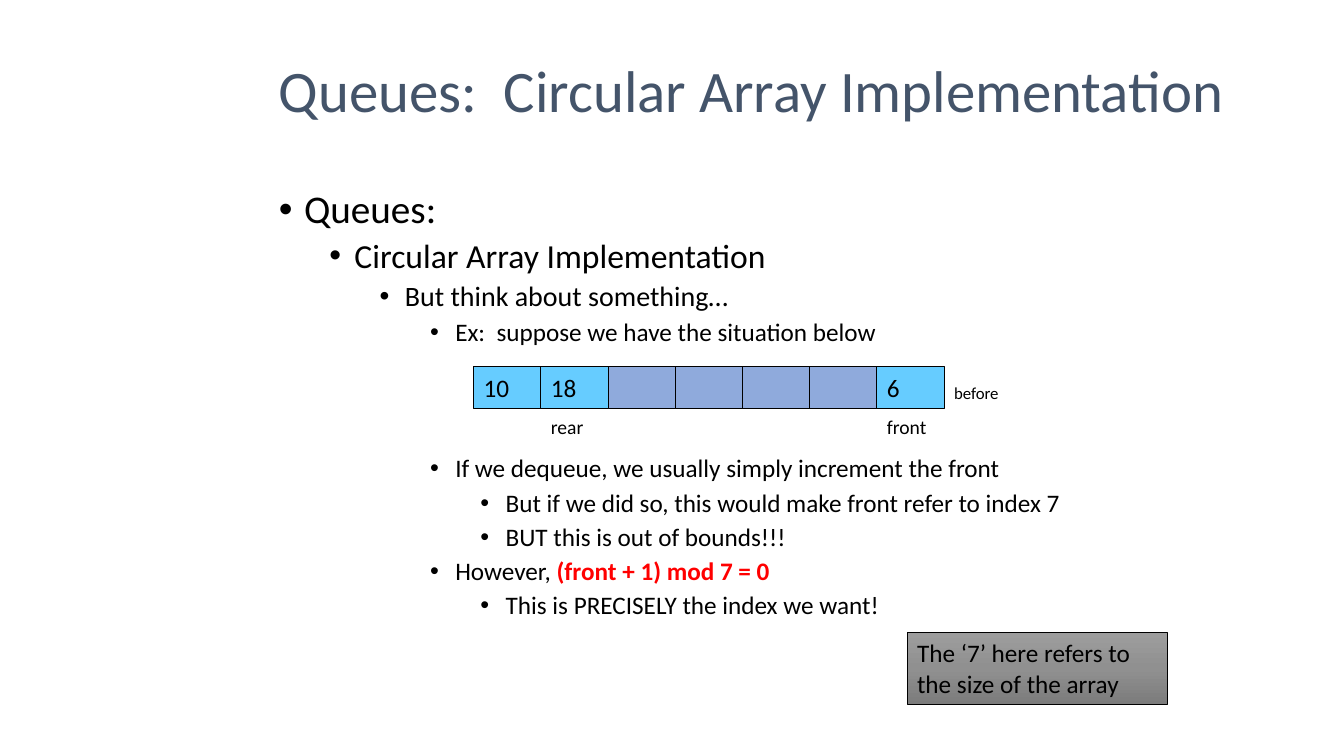
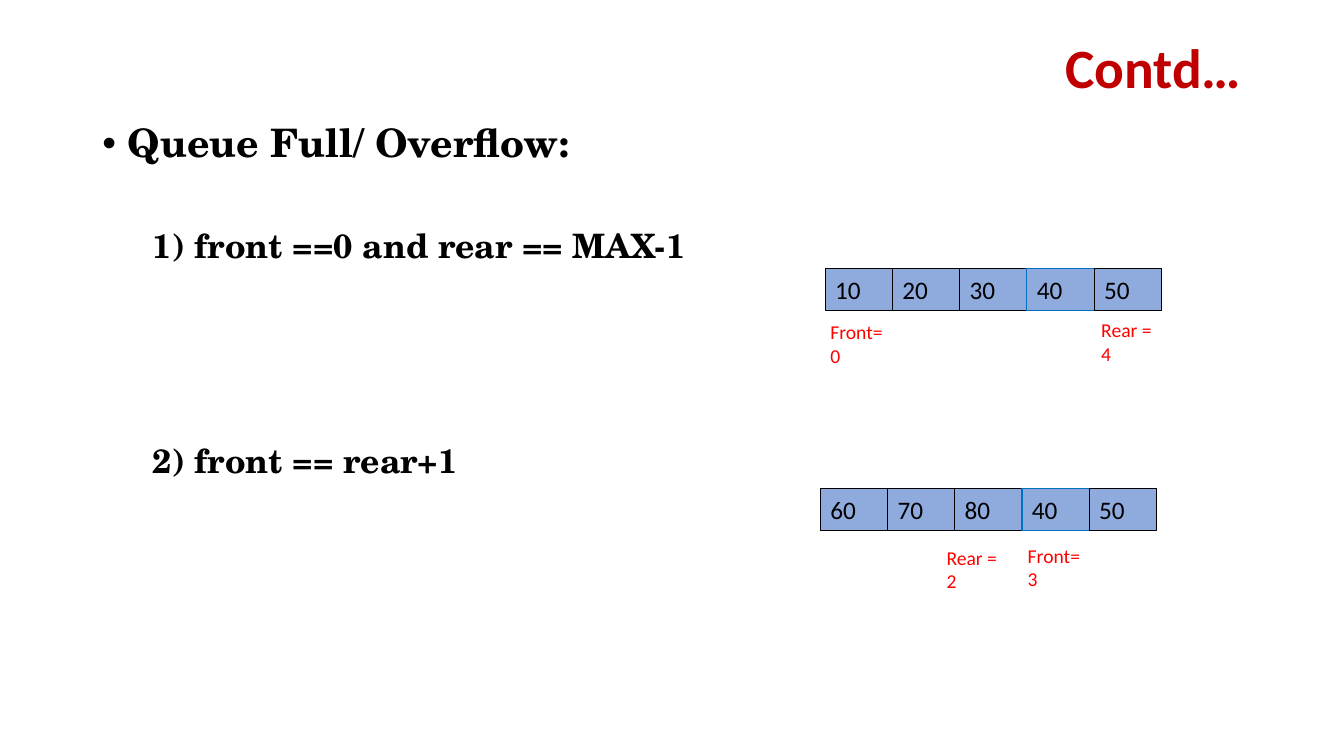
from copy import deepcopy

from lxml.etree import SubElement
from pptx import Presentation
from pptx.dml.color import RGBColor
from pptx.enum.shapes import MSO_SHAPE
from pptx.enum.text import MSO_ANCHOR, MSO_AUTO_SIZE, PP_ALIGN
from pptx.oxml.ns import qn
from pptx.util import Pt

# Shared style
COLORS = {
    "black": "000000", "red": "FF0000", "crimson": "C00000", "slate": "44546A",
    "used": "66CCFF", "cell": "8FAADC", "edge": "0070C0",
    "grey_top": "9D9D9D", "grey_mid": "909090", "grey_end": "7C7C7C",
}
SANS, SERIF = "Calibri", "TeX Gyre Schola"
LEVEL_SIZES = [28, 24, 20, 18, 18]
CELL_W, CELL_H = 48, 30
INDENT, HANG = 36, 18

# Content: list lines are (level, bulleted, space before, runs); a run is (text, format)
SLIDES = [
    {
        "title": ("Queues:  Circular Array Implementation", (192, 21.6, 704, 90),
                  dict(size=42, color="slate")),
        "body_at": (192, 132, 648, 378),
        "body_format": dict(),
        "lines": [
            (0, True, 10, [("Queues:", {})]),
            (1, True, 5, [("Circular Array Implementation", {})]),
            (2, True, 5, [("But think about something…", {})]),
            (3, True, 5, [("Ex:  suppose we have the situation below", {})]),
            (3, True, 78, [("If we dequeue, we usually simply increment the front", {})]),
            (4, True, 5, [("But if we did so, this would make front refer to index 7", {})]),
            (4, True, 5, [("BUT this is out of bounds!!!", {})]),
            (3, True, 5, [("However, ", {}),
                          ("(front + 1) mod 7 = 0", dict(color="red", bold=True))]),
            (4, True, 5, [("This is PRECISELY the index we want!", {})]),
        ],
        # labels are (text, offset from the row's corner, format)
        "arrays": [
            {"at": (338.4, 262), "values": ["10", "18", "", "", "", "", "6"],
             "fills": {0: "used", 1: "used", 6: "used"}, "edges": {},
             "labels": [("front", (6 * CELL_W, 24.5), dict(size=14)),
                        ("rear", (CELL_W, 24.5), dict(size=14)),
                        ("before", (7 * CELL_W, 6.5, 72, 24), dict(size=12))]},
        ],
        "callout": ("The ‘7’ here refers to the size of the array", (648, 452, 186, 51)),
    },
    {
        "title": ("Contd…", (66, 28.8, 828, 43.2),
                  dict(size=39.6, color="crimson", bold=True, align=PP_ALIGN.RIGHT)),
        "body_at": (66, 85, 828, 401),
        "body_format": dict(font=SERIF, bold=True),
        "lines": [
            (0, True, 10, [("Queue Full/ Overflow:", {})]),
            (1, False, 45, [("1) front ==0 and rear == MAX-1", {})]),
            (1, False, 128, [("2) front == rear+1", {})]),
        ],
        "arrays": [
            {"at": (589.5, 192), "values": ["10", "20", "30", "40", "50"],
             "fills": {}, "edges": {3: "edge"},
             "labels": [("Front=0", (-3.5, 35.5), dict(size=14, color="red")),
                        ("Rear = 4", (190, 34), dict(size=14, color="red"))]},
            {"at": (586, 349), "values": ["60", "70", "80", "40", "50"],
             "fills": {}, "edges": {3: "edge"},
             "labels": [("Front=3", (141, 38), dict(size=14, color="red")),
                        ("Rear = 2", (83, 39.5), dict(size=14, color="red"))]},
        ],
    },
]


def rgb(name):
    return RGBColor.from_string(COLORS[name])


def write(p, text, size=18, color="black", bold=False, font=SANS, align=PP_ALIGN.LEFT):
    """Add one formatted run to a paragraph."""
    p.alignment = align
    r = p.add_run()
    r.text = text
    r.font.size, r.font.name, r.font.bold = Pt(size), font, bold
    r.font.color.rgb = rgb(color)


def place(sp, at):
    sp.left, sp.top, sp.width, sp.height = map(Pt, at)


def add_box(shapes, at, line_width):
    sp = shapes.add_shape(MSO_SHAPE.RECTANGLE, *map(Pt, at))
    sp.shadow.inherit = False
    sp.line.color.rgb = rgb("black")
    sp.line.width = Pt(line_width)
    return sp


def fill_title(sp, text, at, fmt):
    place(sp, at)
    tf = sp.text_frame
    tf.auto_size = MSO_AUTO_SIZE.NONE
    tf.vertical_anchor = MSO_ANCHOR.MIDDLE
    tf.paragraphs[0].line_spacing = 0.9
    write(tf.paragraphs[0], text, **fmt)


def fill_body(sp, at, lines, body_format):
    place(sp, at)
    tf = sp.text_frame
    tf.auto_size = MSO_AUTO_SIZE.NONE
    for i, (level, bulleted, before, runs) in enumerate(lines):
        p = tf.add_paragraph() if i else tf.paragraphs[0]
        p.level = level
        p.line_spacing, p.space_before, p.space_after = 0.9, Pt(before), Pt(0)
        for text, fmt in runs:
            write(p, text, **{"size": LEVEL_SIZES[level], **body_format, **fmt})
        # Bullet and hanging indent
        pPr = p._p.get_or_add_pPr()
        hang = HANG if bulleted else 0
        pPr.set("marL", str(Pt(level * INDENT + hang)))
        pPr.set("indent", str(-Pt(hang)))
        if bulleted:
            SubElement(pPr, qn("a:buFont")).set("typeface", "Arial")
            SubElement(pPr, qn("a:buChar")).set("char", "•")
        else:
            SubElement(pPr, qn("a:buNone"))


def add_array(s, at, values, fills, edges, labels):
    """Draw a row of cells with its pointer labels as one group."""
    x, y = at
    group = s.shapes.add_group_shape().shapes
    for i, value in enumerate(values):
        sp = add_box(group, (x + i * CELL_W, y, CELL_W, CELL_H), 0.75)
        sp.fill.solid()
        sp.fill.fore_color.rgb = rgb(fills.get(i, "cell"))
        sp.line.color.rgb = rgb(edges.get(i, "black"))
        if value:
            tf = sp.text_frame
            tf.word_wrap = False
            write(tf.paragraphs[0], value)
    for text, (dx, dy, *size), fmt in labels:
        w, h = size or (54, 36)
        tf = group.add_textbox(Pt(x + dx), Pt(y + dy), Pt(w), Pt(h)).text_frame
        tf.word_wrap = False
        tf.vertical_anchor = MSO_ANCHOR.MIDDLE
        write(tf.paragraphs[0], text, **fmt)


def add_callout(s, text, at):
    sp = add_box(s.shapes, at, 0.5)
    sp.fill.gradient()
    sp.fill.gradient_angle = 270
    # Third gradient stop
    last = sp._element.spPr.findall(".//" + qn("a:gs"))[-1]
    last.addprevious(deepcopy(last))
    stops = zip(sp.fill.gradient_stops, (0, 0.5, 1), ("grey_top", "grey_mid", "grey_end"))
    for stop, position, color in stops:
        stop.position = position
        stop.color.rgb = rgb(color)
    tf = sp.text_frame
    tf.word_wrap = True
    tf.vertical_anchor = MSO_ANCHOR.TOP
    tf.auto_size = MSO_AUTO_SIZE.SHAPE_TO_FIT_TEXT
    write(tf.paragraphs[0], text)


def main():
    prs = Presentation()
    prs.slide_width, prs.slide_height = Pt(960), Pt(540)
    for content in SLIDES:
        s = prs.slides.add_slide(prs.slide_layouts[1])
        fill_title(s.shapes.title, *content["title"])
        fill_body(s.placeholders[1], content["body_at"], content["lines"],
                  content["body_format"])
        for array in content["arrays"]:
            add_array(s, **array)
        if "callout" in content:
            add_callout(s, *content["callout"])
    prs.save("out.pptx")


if __name__ == "__main__":
    main()
